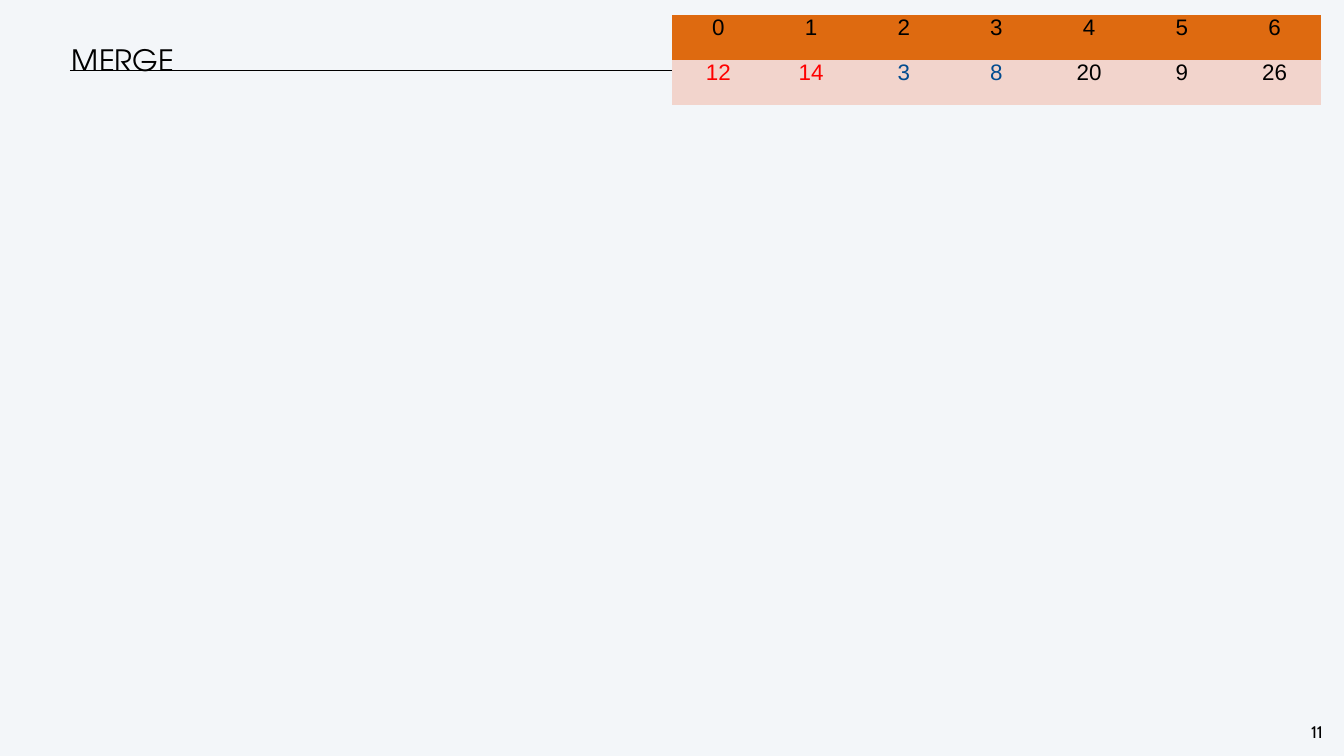
from lxml import etree
from pptx import Presentation
from pptx.dml.color import RGBColor
from pptx.enum.shapes import MSO_CONNECTOR
from pptx.enum.text import MSO_ANCHOR, MSO_AUTO_SIZE, PP_ALIGN
from pptx.oxml.ns import qn
from pptx.util import Pt

LINE = MSO_CONNECTOR.STRAIGHT
MID, TOP = MSO_ANCHOR.MIDDLE, MSO_ANCHOR.TOP
LEFT, MIDST = PP_ALIGN.LEFT, PP_ALIGN.CENTER
FIXED = MSO_AUTO_SIZE.NONE

HEX = {"back": "F3F6F9", "ink": "000000", "head": "DE6A10", "body": "F2D4CC",
       "red": "FF0000", "blue": "024C90"}
TITLE = "MERGE"
PAGE = "11"
ITEMS = [(12, "red"), (14, "red"), (3, "blue"), (8, "blue"),
         (20, "ink"), (9, "ink"), (26, "ink")]
ROWS = [("head", [(i, "ink") for i in range(len(ITEMS))]), ("body", ITEMS)]
GRID = (672, 15, 649, 90)


def px(n):
    return round(n * 914400 / 50.4)


def box(*nums):
    return [px(n) for n in nums]


def color(name):
    return RGBColor.from_string(HEX[name])


def pad(frame, x, y):
    frame.margin_left = frame.margin_right = px(x)
    frame.margin_top = frame.margin_bottom = px(y)


def style(para, size, face, tone, align):
    para.alignment = align
    para.font.size = Pt(size)
    para.font.name = face
    para.font.color.rgb = color(tone)


def add_title(slide):
    head = slide.shapes.title
    head.left, head.top, head.width, head.height = box(69, 32, 1159, 56)
    frame = head.text_frame
    frame.text = TITLE
    frame.auto_size = FIXED
    frame.vertical_anchor = MID
    pad(frame, 3, 3)
    para = frame.paragraphs[0]
    style(para, 42, "TeX Gyre Adventor", "ink", LEFT)
    para.line_spacing = Pt(50)
    para.space_before = Pt(3)


def add_rule(slide):
    rule = slide.shapes.add_connector(LINE, *box(70, 70.5, 1274, 70.5))
    rule.line.color.rgb = color("ink")
    rule.line.width = Pt(1)
    etree.SubElement(rule._element.spPr, qn("a:effectLst"))


def add_page(slide):
    frame = slide.shapes.add_textbox(*box(1305, 720, 24, 24)).text_frame
    frame.text = PAGE
    frame.word_wrap = False
    frame.auto_size = FIXED
    pad(frame, 0, 2)
    para = frame.paragraphs[0]
    style(para, 24, "Cabin", "ink", MIDST)
    para.line_spacing = Pt(28)


def clear_edges(cell):
    props = cell._tc.get_or_add_tcPr()
    for i, tag in enumerate(("a:lnL", "a:lnR", "a:lnT", "a:lnB")):
        edge = etree.Element(qn(tag))
        etree.SubElement(edge, qn("a:noFill"))
        props.insert(i, edge)


def add_grid(slide):
    table = slide.shapes.add_table(len(ROWS), len(ITEMS), *box(*GRID)).table
    table.first_row = table.horz_banding = False
    for r, (fill, items) in enumerate(ROWS):
        for c, (value, tone) in enumerate(items):
            cell = table.cell(r, c)
            cell.text = str(value)
            cell.vertical_anchor = TOP
            pad(cell, 10, 0)
            cell.fill.solid()
            cell.fill.fore_color.rgb = color(fill)
            clear_edges(cell)
            style(cell.text_frame.paragraphs[0], 32, "Arial", tone, MIDST)


def main():
    deck = Presentation()
    deck.slide_width, deck.slide_height = box(1344, 756)
    slide = deck.slides.add_slide(deck.slide_layouts[5])
    slide.background.fill.solid()
    slide.background.fill.fore_color.rgb = color("back")
    add_title(slide)
    add_rule(slide)
    add_page(slide)
    add_grid(slide)
    deck.save("out.pptx")


if __name__ == "__main__":
    main()
